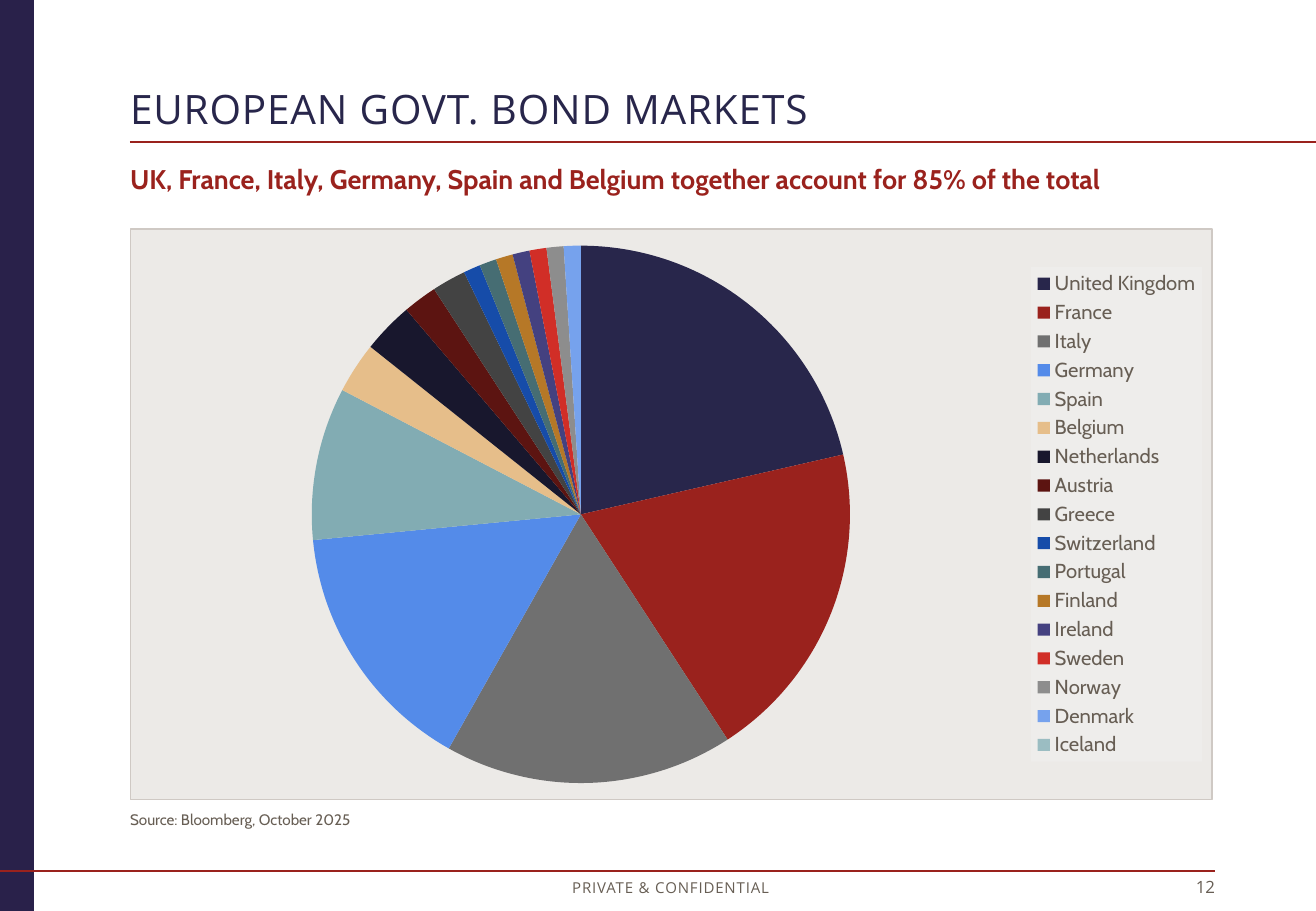
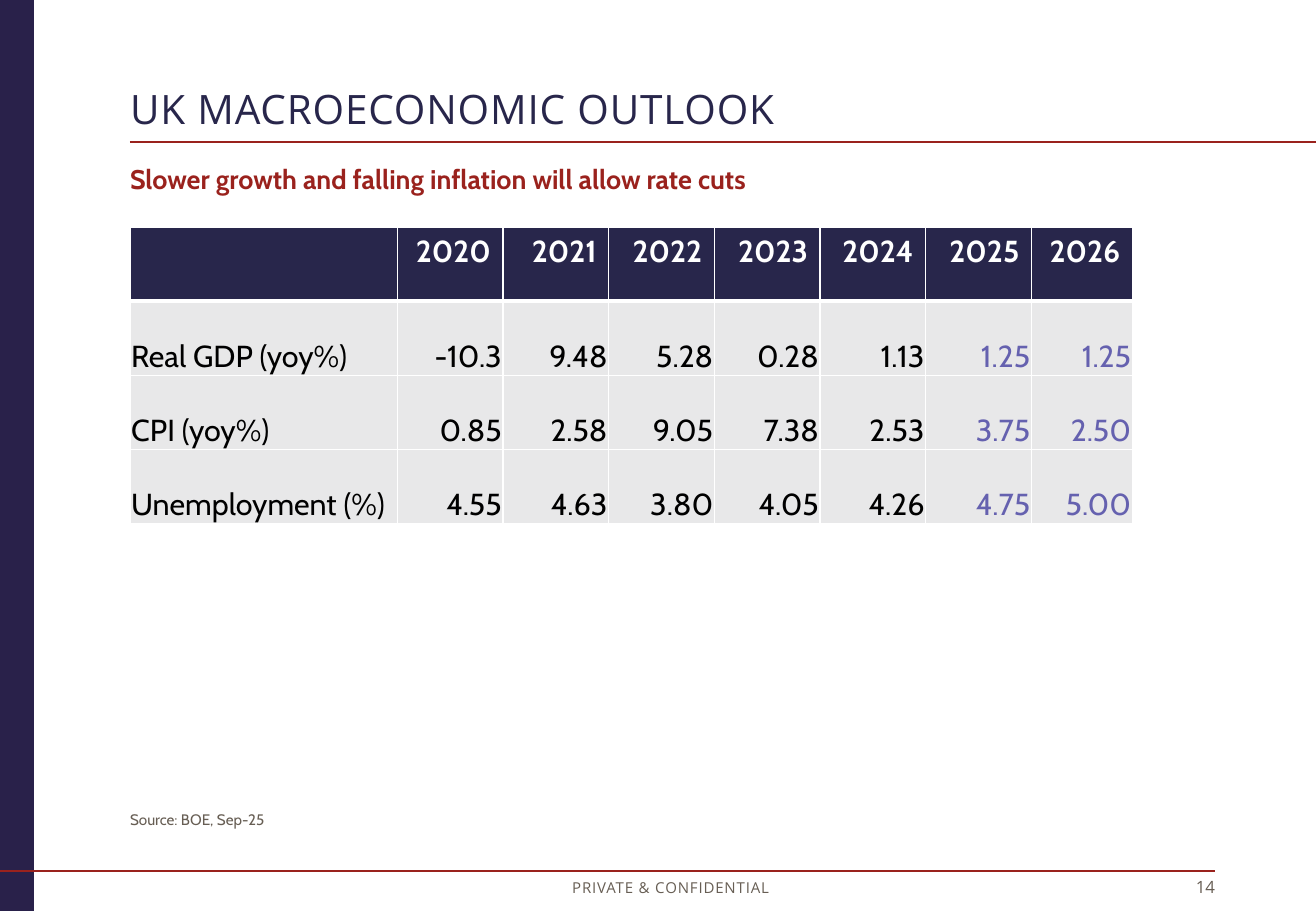
from dataclasses import dataclass

from pptx import Presentation
from pptx import util as u
from pptx.chart.data import CategoryChartData
from pptx.dml.color import RGBColor
from pptx.enum import chart as charts, shapes, text
from pptx.oxml import parse_xml
from pptx.oxml.ns import nsdecls, qn
from pptx.oxml.xmlchemy import OxmlElement


@dataclass(frozen=True)
class Theme:
    navy: str = "28264B"
    stripe: str = "29214A"
    red: str = "9A221D"
    grey: str = "675E54"
    white: str = "FFFFFF"
    black: str = "000000"
    forecast: str = "6561AF"
    cell: str = "E8E8E9"
    panel: str = "ECEAE7"
    panel_edge: str = "CFC9C4"
    legend_panel: str = "F2F2F2"
    heading_font: str = "Open Sans"
    body_font: str = "Cabin"
    title_size: float = 24
    subtitle_size: float = 16
    table_size: float = 18
    legend_size: float = 12
    number_size: float = 10
    source_size: float = 9
    footer_size: float = 8.9


SLIDE_WIDTH, SLIDE_HEIGHT = 10.83, 7.5
LEFT, CONTENT_WIDTH, FOOTER_RIGHT = 1.07, 8.91, 10
LEFT_ALIGN, CENTER, RIGHT_ALIGN = text.PP_ALIGN.LEFT, text.PP_ALIGN.CENTER, text.PP_ALIGN.RIGHT
TOP, MIDDLE, BOTTOM = text.MSO_ANCHOR.TOP, text.MSO_ANCHOR.MIDDLE, text.MSO_ANCHOR.BOTTOM


def inches(*lengths):
    return [u.Inches(length) for length in lengths]


def rgb(color):
    return RGBColor.from_string(color)


class Report:
    def __init__(self, theme):
        self.theme = theme
        self.deck = Presentation()
        self.deck.slide_width, self.deck.slide_height = inches(SLIDE_WIDTH, SLIDE_HEIGHT)
        self.page = None

    def add_page(self, title, subtitle, source, number):
        theme = self.theme
        self.page = self.deck.slides.add_slide(self.deck.slide_layouts.get_by_name("Comparison"))
        slots = {slot.placeholder_format.idx: slot for slot in self.page.placeholders}
        for unused in (2, 4):
            slots[unused].element.getparent().remove(slots[unused].element)
        self.stripe()
        self.rule(0, FOOTER_RIGHT, 7.17, 1)
        self.rule(LEFT, SLIDE_WIDTH, 1.17, 1.5)
        para = self.fill_box(slots[0], (LEFT, 0.74, 6.91, 0.36), title, theme.title_size,
                             theme.navy, theme.heading_font, anchor=BOTTOM, spacing=0.5)
        para.line_spacing = 0.9
        self.fill_box(slots[1], (LEFT, 1.34, CONTENT_WIDTH, 0.27), subtitle,
                      theme.subtitle_size, theme.red, theme.body_font, anchor=MIDDLE, bold=True)
        self.fill_box(slots[3], (LEFT, 6.67, CONTENT_WIDTH, 0.15), source, theme.source_size,
                      theme.grey, theme.body_font)
        self.label((4.37, 7.23, 2.3, 0.17), "PRIVATE & CONFIDENTIAL", theme.footer_size,
                   CENTER, spacing=0.5)
        self.label((9.44, 7.22, 0.56, 0.17), str(number), theme.number_size, RIGHT_ALIGN)

    def stripe(self):
        band = self.page.shapes.add_shape(shapes.MSO_SHAPE.RECTANGLE,
                                          *inches(0, 0, 0.28, SLIDE_HEIGHT))
        band.shadow.inherit = False
        band.fill.solid()
        band.fill.fore_color.rgb = rgb(self.theme.stripe)
        band.line.fill.background()

    def rule(self, start, end, height, weight):
        line = self.page.shapes.add_connector(shapes.MSO_CONNECTOR.STRAIGHT,
                                              *inches(start, height, end, height))
        line.line.color.rgb = rgb(self.theme.red)
        line.line.width = u.Pt(weight)
        line._element.spPr.append(OxmlElement("a:effectLst"))

    def label(self, area, words, size, align, spacing=0):
        box = self.page.shapes.add_textbox(*inches(*area))
        self.fill_box(box, area, words, size, self.theme.grey, self.theme.heading_font,
                      align=align, spacing=spacing)

    def fill_box(self, box, area, words, size, color, font, align=LEFT_ALIGN, anchor=TOP,
                 bold=False, spacing=0):
        box.left, box.top, box.width, box.height = inches(*area)
        frame = box.text_frame
        frame.word_wrap = True
        frame.auto_size = text.MSO_AUTO_SIZE.SHAPE_TO_FIT_TEXT
        frame.vertical_anchor = anchor
        frame.margin_left = frame.margin_right = frame.margin_top = frame.margin_bottom = 0
        para = frame.paragraphs[0]
        para.alignment = align
        para.space_before = u.Pt(0)
        self.span(para, words, size, color, font, bold, spacing)
        return para

    def span(self, para, words, size, color, font, bold=False, spacing=0):
        span = para.add_run()
        span.text = words
        self.style(span.font, size, color, font, bold)
        if spacing:
            span._r.get_or_add_rPr().set("spc", str(int(spacing * 100)))

    def style(self, font, size, color, name, bold=False):
        font.size, font.name, font.bold = u.Pt(size), name, bold
        font.color.rgb = rgb(color)

    def pie(self, slices):
        theme = self.theme
        data = CategoryChartData()
        data.categories = [name for name, _, _ in slices]
        data.add_series("Series 1", [value for _, value, _ in slices])
        chart = self.page.shapes.add_chart(charts.XL_CHART_TYPE.PIE,
                                           *inches(LEFT, 1.88, CONTENT_WIDTH, 4.71), data).chart
        chart.has_title = False
        self.style(chart.font, theme.number_size, theme.grey, theme.body_font)
        chart.has_legend = True
        chart.legend.position = charts.XL_LEGEND_POSITION.RIGHT
        chart.legend.include_in_layout = False
        self.style(chart.legend.font, theme.legend_size, theme.grey, theme.body_font)
        plot = chart.plots[0]
        plot.vary_by_categories = True
        for index, (_, _, color) in enumerate(slices):
            wedge = plot.series[0].points[index].format
            wedge.fill.solid()
            wedge.fill.fore_color.rgb = rgb(color)
            wedge.line.fill.background()
        space = chart._chartSpace
        self.panel(space.find(qn("c:chart")), theme.panel, 100, theme.panel_edge)
        self.panel(space.find(".//" + qn("c:legend")).find(qn("c:overlay")),
                   theme.legend_panel, 39)

    def panel(self, previous, color, opacity, edge=None):
        line = f'<a:solidFill><a:srgbClr val="{edge}"/></a:solidFill>' if edge else "<a:noFill/>"
        previous.addnext(parse_xml(
            f'<c:spPr {nsdecls("c", "a")}><a:solidFill><a:srgbClr val="{color}">'
            f'<a:alpha val="{opacity * 1000}"/></a:srgbClr></a:solidFill>'
            f'<a:ln w="{u.Pt(0.75)}">{line}</a:ln></c:spPr>'))

    def table(self, rows, widths, row_height, forecast_from):
        theme = self.theme
        grid = self.page.shapes.add_table(
            len(rows), len(widths),
            *inches(LEFT, 1.87, sum(widths), row_height * len(rows))).table
        grid.horz_banding = False
        for column, width in zip(grid.columns, widths):
            column.width = u.Inches(width)
        for r, row in enumerate(rows):
            grid.rows[r].height = u.Inches(row_height)
            for c, words in enumerate(row):
                cell = grid.cell(r, c)
                header = r == 0
                self.borders(cell, top=3 if r == 1 else 1, bottom=3 if header else 1)
                cell.fill.solid()
                cell.fill.fore_color.rgb = rgb(theme.navy if header else theme.cell)
                if header:
                    color = theme.white
                else:
                    color = theme.forecast if c >= forecast_from else theme.black
                    cell.vertical_anchor = BOTTOM
                    cell.margin_left = cell.margin_right = cell.margin_top = u.Inches(0.01)
                    cell.margin_bottom = 0
                para = cell.text_frame.paragraphs[0]
                para.alignment = RIGHT_ALIGN if c else LEFT_ALIGN
                if words:
                    self.span(para, words, theme.table_size, color, theme.body_font, header)

    def borders(self, cell, top, bottom):
        for side, weight in (("L", 1), ("R", 1), ("T", top), ("B", bottom)):
            cell._tc.get_or_add_tcPr().append(parse_xml(
                f'<a:ln{side} {nsdecls("a")} w="{u.Pt(weight)}"><a:solidFill>'
                f'<a:srgbClr val="{self.theme.white}"/></a:solidFill></a:ln{side}>'))


BOND_MARKETS = [
    ("United Kingdom", 21, "28264B"),
    ("France", 19, "9A221D"),
    ("Italy", 17, "707070"),
    ("Germany", 15, "548BE9"),
    ("Spain", 9, "82ACB3"),
    ("Belgium", 3, "E6BE8A"),
    ("Netherlands", 3, "18172D"),
    ("Austria", 2, "5C1411"),
    ("Greece", 2, "434343"),
    ("Switzerland", 1, "164CA9"),
    ("Portugal", 1, "466D73"),
    ("Finland", 1, "B67827"),
    ("Ireland", 1, "444180"),
    ("Sweden", 1, "D12E27"),
    ("Norway", 1, "8D8D8D"),
    ("Denmark", 1, "76A2ED"),
    ("Iceland", 0, "9BBDC2"),
]

OUTLOOK = [
    ["", *(str(year) for year in range(2020, 2027))],
    ["Real GDP (yoy%)", "-10.3", "9.48", "5.28", "0.28", "1.13", "1.25", "1.25"],
    ["CPI (yoy%)", "0.85", "2.58", "9.05", "7.38", "2.53", "3.75", "2.50"],
    ["Unemployment (%)", "4.55", "4.63", "3.80", "4.05", "4.26", "4.75", "5.00"],
]


def main():
    report = Report(Theme())
    report.add_page("EUROPEAN GOVT. BOND MARKETS",
                    "UK, France, Italy, Germany, Spain and Belgium together account for 85% of the total",
                    "Source: Bloomberg, October 2025", 12)
    report.pie(BOND_MARKETS)
    report.add_page("UK MACROECONOMIC OUTLOOK",
                    "Slower growth and falling inflation will allow rate cuts",
                    "Source: BOE, Sep-25", 14)
    report.table(OUTLOOK, [2.2] + [0.87] * 6 + [0.83], 0.61, forecast_from=6)
    report.deck.save("out.pptx")


if __name__ == "__main__":
    main()
